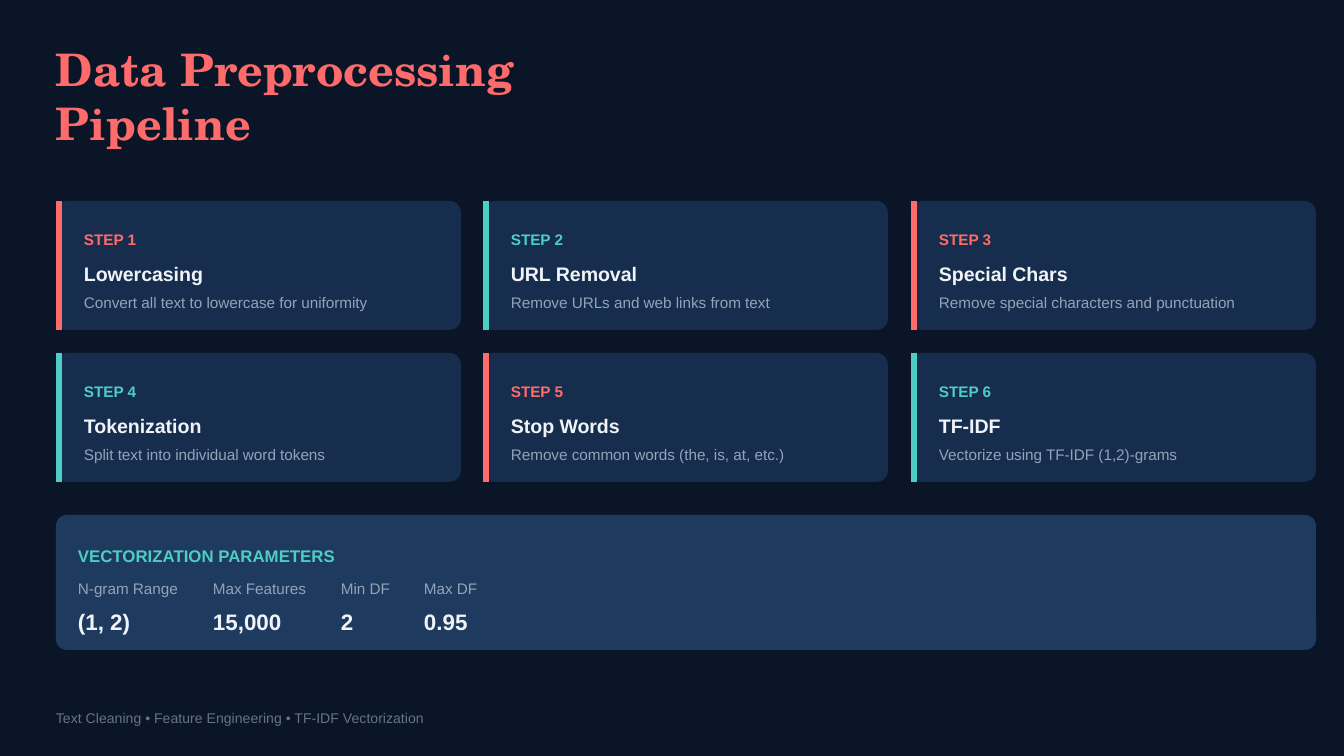
from pptx import Presentation
from pptx.dml.color import RGBColor
from pptx.enum.shapes import MSO_CONNECTOR, MSO_SHAPE
from pptx.oxml.ns import qn
from pptx.util import Pt
from lxml.etree import SubElement

PX = 914400 / 134.4
NAVY = RGBColor(0x0A, 0x16, 0x28)
CARD = RGBColor(0x16, 0x2D, 0x4D)
PANEL = RGBColor(0x1E, 0x3A, 0x5F)
CORAL = RGBColor(0xFF, 0x6B, 0x6B)
TEAL = RGBColor(0x4E, 0xCD, 0xC4)
WHITE = RGBColor(0xF0, 0xF4, 0xF8)
GRAY = RGBColor(0x94, 0xA3, 0xB8)
SLATE = RGBColor(0x64, 0x74, 0x8B)

deck = Presentation()
deck.slide_width = round(1344 * PX)
deck.slide_height = round(756 * PX)
slide = deck.slides.add_slide(deck.slide_layouts[6])
slide.background.fill.solid()
slide.background.fill.fore_color.rgb = NAVY


def text(words, x, y, w, h, size, color, bold=False, face="Arial", space=1.4):
    box = slide.shapes.add_textbox(*[round(n * PX) for n in (x, y, w, h)])
    frame = box.text_frame
    frame.margin_left = frame.margin_right = 0
    frame.margin_top = frame.margin_bottom = 0
    frame.word_wrap = False
    para = frame.paragraphs[0]
    para.text = words
    para.line_spacing = space
    para.font.size = Pt(size)
    para.font.name = face
    para.font.bold = bold
    para.font.color.rgb = color
    return frame


def panel(x, y, w, h, color, curve):
    box = slide.shapes.add_shape(
        MSO_SHAPE.ROUNDED_RECTANGLE, *[round(n * PX) for n in (x, y, w, h)])
    box.adjustments[0] = curve
    box.shadow.inherit = False
    box.fill.solid()
    box.fill.fore_color.rgb = color
    box.line.fill.background()


title = text("Data Preprocessing Pipeline", 56, 42, 658, 44, 24, CORAL, True,
             "TeX Gyre Schola", None)
title.word_wrap = True

steps = [
    ("Lowercasing", "Convert all text to lowercase for uniformity"),
    ("URL Removal", "Remove URLs and web links from text"),
    ("Special Chars", "Remove special characters and punctuation"),
    ("Tokenization", "Split text into individual word tokens"),
    ("Stop Words", "Remove common words (the, is, at, etc.)"),
    ("TF-IDF", "Vectorize using TF-IDF (1,2)-grams"),
]
for i, (name, note) in enumerate(steps):
    row, col = divmod(i, 3)
    x = (56, 483, 911)[col]
    y = 201 + 152 * row
    color = (CORAL, TEAL)[i % 2]
    panel(x, y, 405, 129, CARD, 0.09)
    ends = (x + 3, y, x + 3, y + 129)
    bar = slide.shapes.add_connector(
        MSO_CONNECTOR.STRAIGHT, *[round(n * PX) for n in ends])
    bar.line.color.rgb = color
    bar.line.width = Pt(3)
    SubElement(bar._element.spPr, qn("a:effectLst"))
    text(f"STEP {i + 1}", x + 28, y + 22, 361, 22, 8.2, color, True)
    text(name, x + 28, y + 52, 361, 27, 10.5, WHITE, True)
    text(note, x + 28, y + 85, 361, 22, 8.2, GRAY)

panel(56, 515, 1260, 135, PANEL, 0.08)
text("VECTORIZATION PARAMETERS", 78, 538, 1239, 23, 9, TEAL, True)
params = [
    ("N-gram Range", "(1, 2)", 78, 103),
    ("Max Features", "15,000", 213, 95),
    ("Min DF", "2", 341, 51),
    ("Max DF", "0.95", 424, 55),
]
for label, value, x, w in params:
    text(label, x, 572, w, 22, 8.2, GRAY)
    text(value, x, 597, w, 31, 12, WHITE, True)

text("Text Cleaning • Feature Engineering • TF-IDF Vectorization",
     56, 703, 372, 20, 7.5, SLATE)

deck.save("out.pptx")
